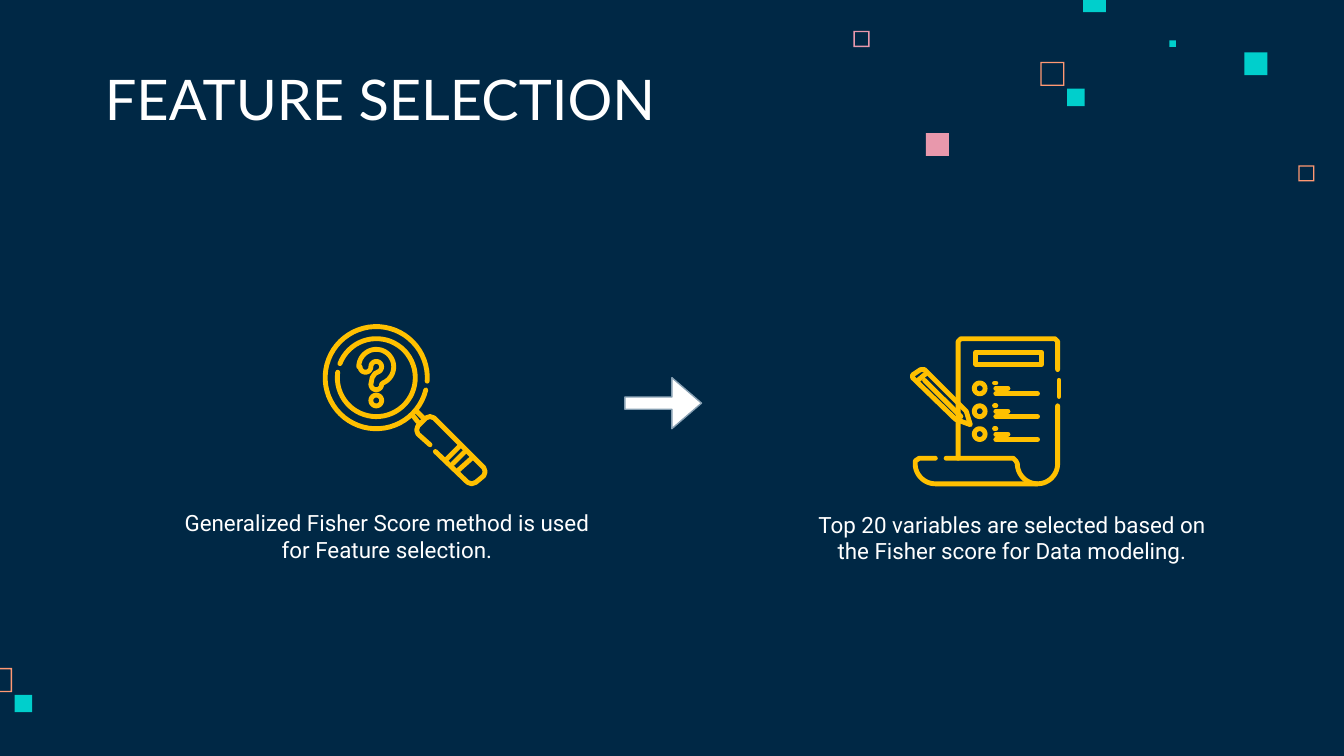
from math import cos, radians, sin
from pptx import Presentation
from pptx.dml.color import RGBColor
from pptx.enum.shapes import MSO_SHAPE
from pptx.enum.text import MSO_ANCHOR, PP_ALIGN
from pptx.util import Inches, Pt

NAVY = RGBColor(0x00, 0x28, 0x45)
WHITE = RGBColor(0xFF, 0xFF, 0xFF)
TEAL = RGBColor(0x00, 0xCF, 0xCC)
PINK = RGBColor(0xE8, 0x98, 0xAC)
CORAL = RGBColor(0xFF, 0x99, 0x73)
GOLD = RGBColor(0xFF, 0xC0, 0x00)
SLATE = RGBColor(0x86, 0x9F, 0xB2)

TITLE = "FEATURE SELECTION"
NOTES = [
    ("Generalized Fisher Score method is used for Feature selection.", 1.22, 3.69),
    ("Top 20 variables are selected based on the Fisher score for Data modeling.", 5.87, 3.7),
]
SOLID = [
    (8.7, 0.3, 0.05, TEAL), (8.06, -0.08, 0.17, TEAL), (9.26, 0.39, 0.17, TEAL),
    (7.94, 0.66, 0.13, TEAL), (6.89, 0.99, 0.17, PINK), (0.11, 5.17, 0.13, TEAL),
]
HOLLOW = [
    (9.66, 1.23, 0.12, CORAL), (6.35, 0.23, 0.12, PINK),
    (7.74, 0.46, 0.18, CORAL), (-0.09, 4.97, 0.18, CORAL),
]


def arc(x, y, r, start, end):
    steps = max(8, int(abs(end - start) / 6))
    turns = [radians(start + (end - start) * i / steps) for i in range(steps + 1)]
    return [(x + r * cos(t), y + r * sin(t)) for t in turns]


def ring(x, y, r):
    return arc(x, y, r, 0, 360)


def row(y):
    return [
        ring(7.29, y, 0.04),
        [(7.4, y - 0.04), (7.41, y - 0.04)],
        [(7.41, y), (7.5, y)],
        [(7.41, y + 0.04), (7.72, y + 0.04)],
    ]


LENS = [
    [arc(2.8, 2.81, 0.29, 201, 548)],
    [arc(2.8, 2.81, 0.38, 14, 364)],
    [
        [(3.07, 3.09), (3.11, 3.14)],
        [(3.1, 3.06), (3.15, 3.11)],
        [(3.2, 3.31), (3.11, 3.23), (3.1, 3.2), (3.11, 3.17), (3.17, 3.11),
         (3.2, 3.1), (3.23, 3.11), (3.6, 3.48), (3.61, 3.51), (3.6, 3.54),
         (3.54, 3.59), (3.51, 3.6), (3.48, 3.59), (3.24, 3.36)],
        [(3.42, 3.32), (3.32, 3.42)],
        [(3.46, 3.36), (3.37, 3.45)],
        [(3.51, 3.41), (3.41, 3.5)],
    ],
    [arc(2.8, 2.73, 0.13, 180, 427) + arc(2.8, 2.86, 0.04, 0, 180)
     + [(2.77, 2.81), (2.79, 2.78)] + arc(2.8, 2.73, 0.04, 60, -180)
     + arc(2.72, 2.73, 0.04, 0, 180)],
    [ring(2.8, 2.98, 0.04)],
]
SCROLL = [
    [
        [(7.13, 3.41), (7.13, 2.54), (7.15, 2.52), (7.85, 2.52), (7.87, 2.54), (7.87, 2.75)],
        [(7.88, 2.83), (7.88, 2.95)],
        [(7.87, 3.02)] + arc(7.72, 3.45, 0.15, 0, 180)
        + [(7.56, 3.43), (7.54, 3.41), (7.04, 3.41)],
        [(6.96, 3.41), (6.84, 3.41), (6.81, 3.43)] + arc(6.96, 3.45, 0.15, 180, 90)
        + [(7.72, 3.6)],
    ],
    [
        [(7.11, 3.12), (6.79, 2.81), (6.79, 2.79), (6.85, 2.75), (6.88, 2.75),
         (7.19, 3.06), (7.22, 3.16), (7.11, 3.12)],
        [(6.83, 2.83), (6.89, 2.78)],
        [(6.88, 2.83), (7.15, 3.1)],
    ],
    [[(7.26, 2.62), (7.75, 2.62), (7.75, 2.71), (7.26, 2.71), (7.26, 2.62)]],
] + [row(y) for y in (2.89, 3.06, 3.23)]


def paint(shape, fill, line=None, width=0.75):
    shape.shadow.inherit = False
    if fill is None:
        shape.fill.background()
    else:
        shape.fill.solid()
        shape.fill.fore_color.rgb = fill
    if line is None:
        shape.line.fill.background()
    else:
        shape.line.color.rgb = line
        shape.line.width = Pt(width)


def place(shape, *box):
    for name, size in zip(("left", "top", "width", "height"), box):
        setattr(shape, name, Inches(size))


def write(shape, text, face, size, align, anchor):
    frame = shape.text_frame
    frame.text = text
    form = {"word_wrap": True, "vertical_anchor": anchor}
    form.update({f"margin_{s}": Inches(0.1) for s in ("left", "top", "right", "bottom")})
    for name, value in form.items():
        setattr(frame, name, value)
    para = frame.paragraphs[0]
    para.alignment = align
    font = para.runs[0].font
    for name, value in {"name": face, "size": Pt(size)}.items():
        setattr(font, name, value)
    font.color.rgb = WHITE


def draw(shapes, icon):
    group = shapes.add_group_shape()
    for part in icon:
        lines = [[(Inches(x), Inches(y)) for x, y in line] for line in part]
        pen = group.shapes.build_freeform(*lines[0][0])
        for i, line in enumerate(lines):
            if i:
                pen.move_to(*line[0])
            pen.add_line_segments(line[1:], close=line[0] == line[-1])
        shape = pen.convert_to_shape()
        paint(shape, None, GOLD, 2.6)
        shape.line._get_or_add_ln().set("cap", "rnd")


def main():
    deck = Presentation()
    deck.slide_width = Inches(10)
    deck.slide_height = deck.slide_width * 9 // 16
    slide = deck.slides.add_slide(deck.slide_layouts[5])
    back = slide.background.fill
    back.solid()
    back.fore_color.rgb = NAVY
    shapes = slide.shapes

    title = shapes.title
    place(title, 0.68, 0.45, 5.17, 0.63)
    write(title, TITLE, "Lato", 30, PP_ALIGN.LEFT, MSO_ANCHOR.BOTTOM)

    for x, y, side, hue in SOLID:
        box = [Inches(v) for v in (x, y, side, side)]
        paint(shapes.add_shape(MSO_SHAPE.RECTANGLE, *box), hue)
    for x, y, side, hue in HOLLOW:
        box = [Inches(v) for v in (x, y, side, side)]
        frame = shapes.add_shape(MSO_SHAPE.FRAME, *box)
        frame.adjustments[0] = 0.01 / side
        paint(frame, hue)

    draw(shapes, LENS)
    draw(shapes, SCROLL)

    box = [Inches(v) for v in (4.65, 2.81, 0.57, 0.38)]
    arrow = shapes.add_shape(MSO_SHAPE.RIGHT_ARROW, *box)
    arrow.adjustments[0] = 0.24
    arrow.adjustments[1] = 0.58
    paint(arrow, WHITE, SLATE)

    for text, x, y in NOTES:
        box = [Inches(v) for v in (x, y, 3.32, 0.63)]
        note = shapes.add_textbox(*box)
        write(note, text, "Roboto", 12, PP_ALIGN.CENTER, MSO_ANCHOR.TOP)

    deck.save("out.pptx")


if __name__ == "__main__":
    main()
